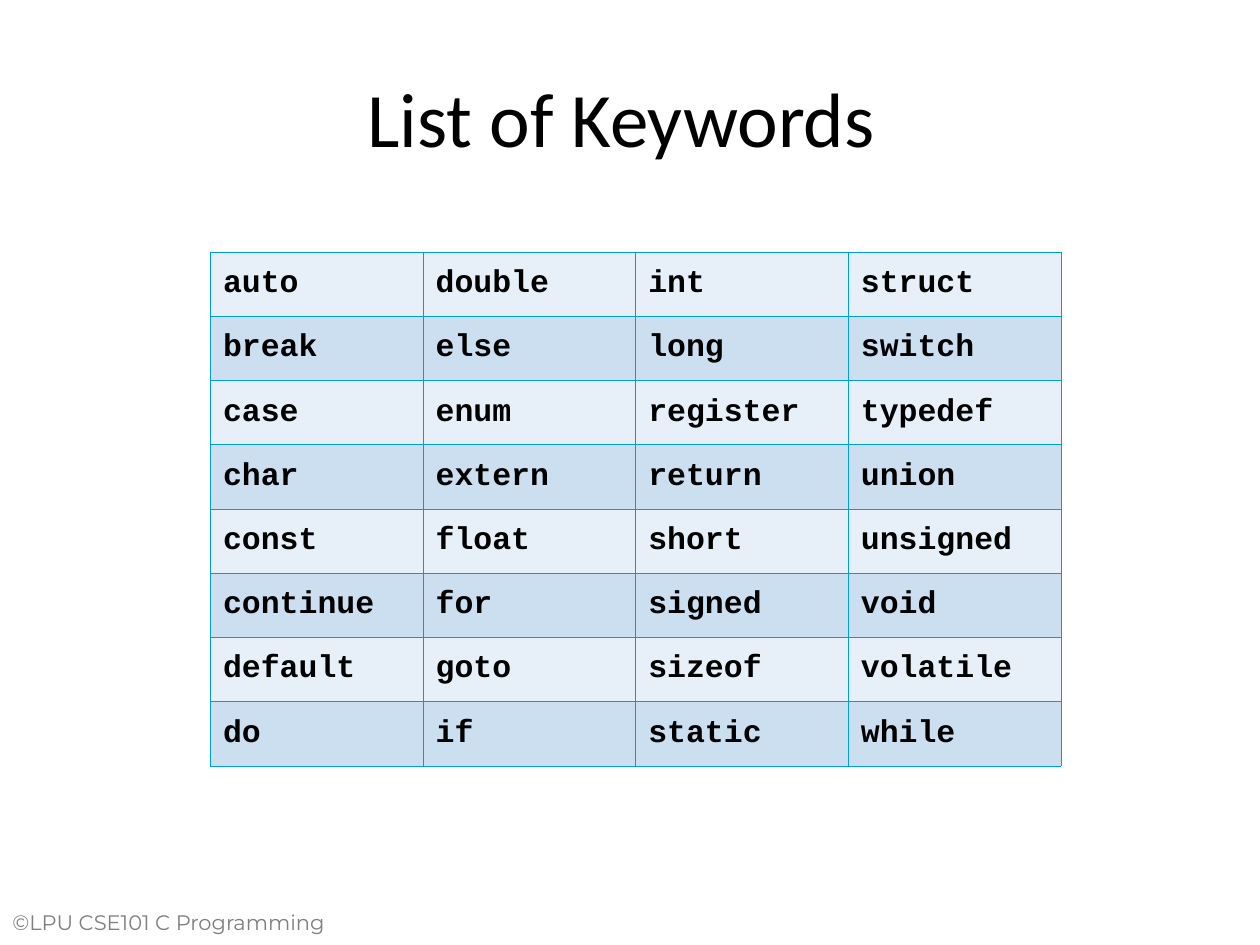
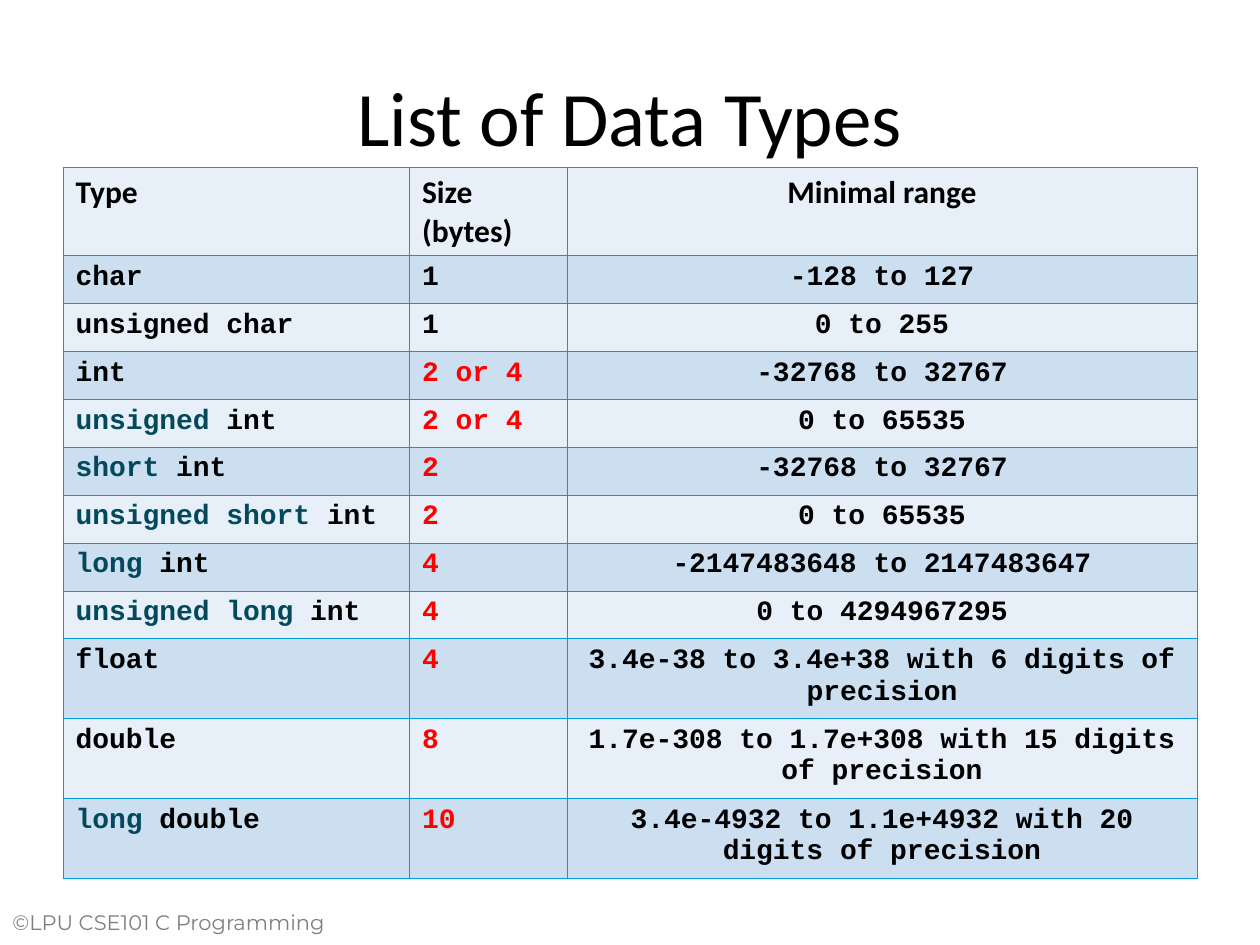
"""Builds two slides of C reference tables: keywords and data types."""
import dataclasses

import lxml.etree
import pptx
import pptx.dml.color
import pptx.enum.text
import pptx.oxml.ns
import pptx.util

Inches = pptx.util.Inches
Align = pptx.enum.text.PP_ALIGN
Anchor = pptx.enum.text.MSO_ANCHOR


@dataclasses.dataclass(frozen=True)
class Theme:
    ink: str = "000000"
    muted: str = "7F7F7F"
    modifier: str = "03495C"
    highlight: str = "FF0000"
    border: str = "009DD9"
    bands: tuple = ("E7F0F8", "CBDFF1")
    body_font: str = "Calibri"
    code_font: str = "Courier New"
    footer_font: str = "Montserrat"
    title_size: int = 44
    large_size: int = 18
    code_size: int = 16
    footer_size: int = 12
    border_width: float = 0.45


THEME = Theme()
FOOTER = "©LPU CSE101 C Programming"

KEYWORD_COLUMNS = (
    "auto break case char const continue default do".split(),
    "double else enum extern float for goto if".split(),
    "int long register return short signed sizeof static".split(),
    "struct switch typedef union unsigned void volatile while".split(),
)

TYPE_HEADINGS = ("Type", "Size (bytes)", "Minimal range")
DATA_TYPES = (
    ("", "char", "1", "-128 to 127"),
    ("", "unsigned char", "1", "0 to 255"),
    ("", "int", "2 or 4", "-32768 to 32767"),
    ("unsigned ", "int", "2 or 4", "0 to 65535"),
    ("short ", "int", "2", "-32768 to 32767"),
    ("unsigned short ", "int", "2", "0 to 65535"),
    ("long ", "int", "4", "-2147483648 to 2147483647"),
    ("unsigned long ", "int", "4", "0 to 4294967295"),
    ("", "float", "4", "3.4e-38 to 3.4e+38 with 6 digits of precision"),
    ("", "double", "8", "1.7e-308 to 1.7e+308 with 15 digits of precision"),
    ("long ", "double", "10", "3.4e-4932 to 1.1e+4932 with 20 digits of precision"),
)


def write_text(text_frame, text, *, font, size, color=THEME.ink, bold=False,
               align=Align.LEFT, lead="", lead_color=THEME.modifier):
    paragraph = text_frame.paragraphs[0]
    paragraph.alignment = align
    for words, words_color in ((lead, lead_color), (text, color)):
        if words:
            run = paragraph.add_run()
            run.text = words
            run.font.name = font
            run.font.size = pptx.util.Pt(size)
            run.font.bold = bold
            run.font.color.rgb = pptx.dml.color.RGBColor.from_string(words_color)


class Deck:
    def __init__(self, theme):
        self.theme = theme
        self.presentation = pptx.Presentation()
        self.presentation.slide_width = Inches(10)
        self.presentation.slide_height = Inches(7.5)
        self.slide = None

    def add_slide(self, title, top, height):
        self.slide = self.presentation.slides.add_slide(self.presentation.slide_layouts[5])
        self.add_footer()
        shape = self.slide.shapes.title
        shape.left, shape.top = Inches(0.5), Inches(top)
        shape.width, shape.height = Inches(9), Inches(height)
        shape.text_frame.vertical_anchor = Anchor.MIDDLE
        write_text(shape.text_frame, title, font=self.theme.body_font,
                   size=self.theme.title_size, align=Align.CENTER)

    def add_footer(self):
        shape = self.slide.shapes.add_textbox(Inches(0), Inches(7.17), Inches(3), Inches(0.42))
        shape.text_frame.word_wrap = True
        write_text(shape.text_frame, FOOTER, font=self.theme.footer_font,
                   size=self.theme.footer_size, color=self.theme.muted)

    def add_table(self, left, top, widths, heights):
        shape = self.slide.shapes.add_table(
            len(heights), len(widths), Inches(left), Inches(top),
            Inches(sum(widths)), Inches(sum(heights)))
        table = shape.table
        table.first_row = table.horz_banding = False
        for column, width in zip(table.columns, widths):
            column.width = Inches(width)
        for index, (row, height) in enumerate(zip(table.rows, heights)):
            row.height = Inches(height)
            for cell in row.cells:
                self.style_cell(cell, self.theme.bands[index % 2])
        return table

    def style_cell(self, cell, fill_color):
        qualify = pptx.oxml.ns.qn
        properties = cell._tc.get_or_add_tcPr()
        for side in ("a:lnL", "a:lnR", "a:lnT", "a:lnB"):
            line = lxml.etree.SubElement(properties, qualify(side))
            line.set("w", str(int(pptx.util.Pt(self.theme.border_width))))
            fill = lxml.etree.SubElement(line, qualify("a:solidFill"))
            lxml.etree.SubElement(fill, qualify("a:srgbClr")).set("val", self.theme.border)
        cell.fill.solid()
        cell.fill.fore_color.rgb = pptx.dml.color.RGBColor.from_string(fill_color)


def build_keywords(deck):
    deck.add_slide("List of Keywords ", top=0.3, height=1.25)
    row_count = len(KEYWORD_COLUMNS[0])
    table = deck.add_table(1.67, 2, [6.75 / 4] * 4, [4.08 / row_count] * row_count)
    for column, keywords in enumerate(KEYWORD_COLUMNS):
        for row, keyword in enumerate(keywords):
            cell = table.cell(row, column)
            cell.vertical_anchor = Anchor.MIDDLE
            write_text(cell.text_frame, keyword, font=deck.theme.code_font,
                       size=deck.theme.large_size, bold=True)


def build_data_types(deck):
    theme = deck.theme
    deck.add_slide("List of Data Types", top=0.33, height=1.17)
    table = deck.add_table(0.5, 1.33, [2.75, 1.25, 5], [0.7] + [0.38] * 8 + [0.63] * 3)
    alignments = (Align.LEFT, Align.LEFT, Align.CENTER)
    for column, heading in enumerate(TYPE_HEADINGS):
        write_text(table.cell(0, column).text_frame, heading, font=theme.body_font,
                   size=theme.large_size, bold=True, align=alignments[column])
    for row, (modifier, base, size, value_range) in enumerate(DATA_TYPES, start=1):
        size_color = theme.ink if size == "1" else theme.highlight
        entries = ((modifier, base, theme.ink), ("", size, size_color),
                   ("", value_range, theme.ink))
        for column, (lead, text, color) in enumerate(entries):
            write_text(table.cell(row, column).text_frame, text, lead=lead, color=color,
                       font=theme.code_font, size=theme.code_size, bold=True,
                       align=alignments[column])


def main():
    deck = Deck(THEME)
    build_keywords(deck)
    build_data_types(deck)
    deck.presentation.save("out.pptx")


if __name__ == "__main__":
    main()
